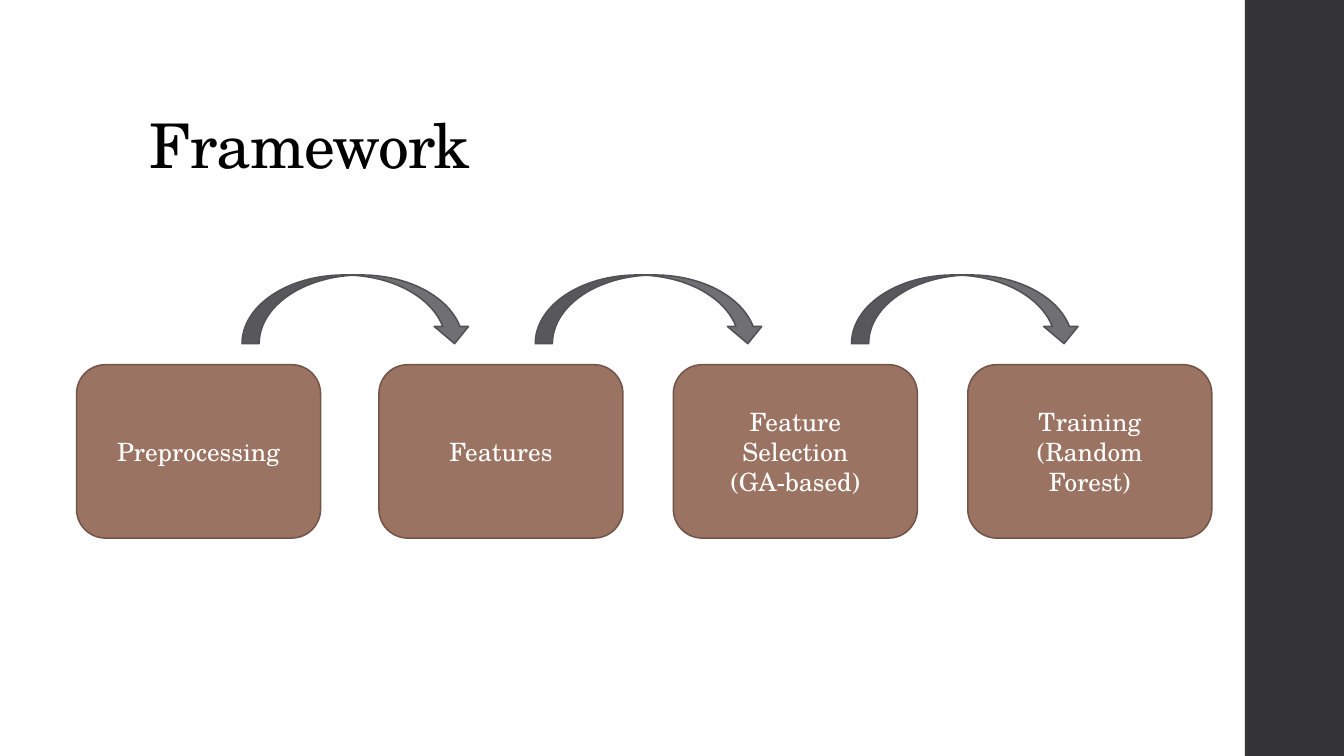
from pptx import Presentation
from pptx.dml.color import RGBColor
from pptx.enum.shapes import MSO_SHAPE as Shape
from pptx.enum.text import MSO_ANCHOR as Anchor, PP_ALIGN as Align
from pptx.util import Cm, Pt

FONT = "TeX Gyre Schola"
COLORS = {
    "sidebar": "353537",
    "title": "000000",
    "stage": "9B7362",
    "stage_line": "735549",
    "arrow": "6F6F74",
    "arrow_line": "525256",
    "stage_text": "FFFFFF",
}
STAGES = [
    (0, "Preprocessing"),
    (7.62, "Features"),
    (15.04, "Feature\nSelection\n(GA-based)"),
    (22.46, "Training\n(Random\nForest)"),
]
ARROW_OFFSETS = [4.17, 11.56, 19.53]


def color(name):
    """Return the named colour."""
    return RGBColor.from_string(COLORS[name])


def add_filled(page, kind, box, fill, line=None):
    """Add a flat shape in the box (left, top, width, height in cm)."""
    shape = page.shapes.add_shape(kind, *map(Cm, box))
    shape.shadow.inherit = False
    shape.fill.solid()
    shape.fill.fore_color.rgb = color(fill)
    if line:
        shape.line.color.rgb = color(line)
        shape.line.width = Pt(1.1)
    else:
        shape.line.fill.background()
    return shape


def write(frame, text, size, ink, align):
    """Write each line of text as a paragraph."""
    frame.word_wrap = True
    frame.text = text
    for para in frame.paragraphs:
        para.alignment = align
        para.font.name = FONT
        para.font.size = Pt(size)
        para.font.color.rgb = color(ink)


def add_title(page, box, text):
    """Set the slide title at the bottom of the box."""
    frame = page.shapes.add_textbox(*map(Cm, box)).text_frame
    frame.vertical_anchor = Anchor.BOTTOM
    write(frame, text, 44, "title", Align.LEFT)
    para = frame.paragraphs[0]
    para.line_spacing = 0.9
    para.runs[0].font._element.set("spc", "-50")


def add_flow(page, box):
    """Lay out the stages along the bottom of the box and the arrows along its top."""
    left, top, width, height = box
    stage_width, stage_height = 6.15, 4.37
    stage_top = top + height - stage_height
    for offset, label in STAGES:
        stage_box = (left + offset, stage_top, stage_width, stage_height)
        stage = add_filled(page, Shape.ROUNDED_RECTANGLE, stage_box, "stage", "stage_line")
        stage.text_frame.vertical_anchor = Anchor.MIDDLE
        write(stage.text_frame, label, 18, "stage_text", Align.CENTER)
    for offset in ARROW_OFFSETS:
        arrow_box = (left + offset, top, 5.79, 1.73)
        add_filled(page, Shape.CURVED_DOWN_ARROW, arrow_box, "arrow", "arrow_line")


def main():
    """Build the framework slide and save it."""
    deck = Presentation()
    deck.slide_width, deck.slide_height = Cm(33.87), Cm(19.05)
    page = deck.slides.add_slide(deck.slide_layouts[6])
    add_filled(page, Shape.RECTANGLE, (31.37, 0, 2.5, 19.05), "sidebar")
    add_title(page, (3.51, 1.02, 26.92, 3.68), "Framework")
    add_flow(page, (1.93, 6.93, 28.61, 6.63))
    deck.save("out.pptx")


if __name__ == "__main__":
    main()
